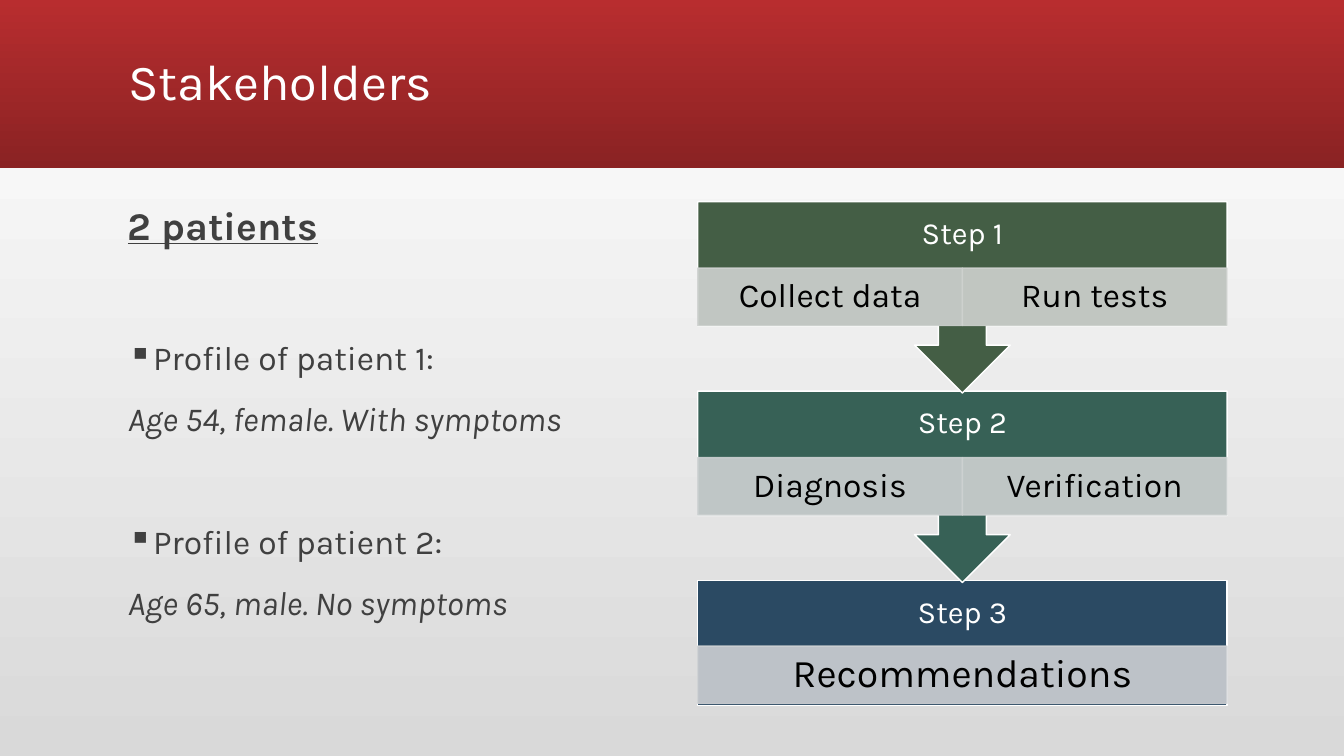
from pptx import Presentation
from pptx.dml.color import RGBColor as RGB
from pptx.enum.shapes import MSO_SHAPE as Kind
from pptx.enum.text import MSO_ANCHOR as Anchor, PP_ALIGN as Align
from pptx.oxml.ns import qn
from pptx.util import Inches as In, Pt
from lxml.etree import SubElement as Sub

# Content
TITLE = "Stakeholders"
# text, style, space before in points
NOTES = [
    ("2 patients", "head", 0),
    ("Profile of patient 1:", "item", 66),
    ("Age 54, female. With symptoms", "fact", 18),
    ("Profile of patient 2:", "item", 61.5),
    ("Age 65, male. No symptoms", "fact", 18),
]
# label, fill, cell type size, cells with their tints
STEPS = [
    ("Step 1", "445E45", 24, [("Collect data", "CFD2D0"), ("Run tests", "CFD2CF")]),
    ("Step 2", "376156", 24, [("Diagnosis", "CED2D3"), ("Verification", "CED2D2")]),
    ("Step 3", "2B4A63", 28, [("Recommendations", "CDD0D3")]),
]


class Theme:
    font = "Karla"
    white, ink, black = "FFFFFF", "404040", "000000"
    band = ("B82D2F", "8A2223")
    back = ("D9D9D9", "FFFFFF")
    title, head, body, step = 36, 28, 24, 22


# Grid, in inches
WIDE, HIGH = 13.33, 7.5
BAND = HIGH * 2 / 9
LEFT, TOP = 1.17, 2
COL, FLOW = 5.25, 6.92
PITCH, CALL, BOX = 1.88, 1.9, 1.24
LABEL, CELL = 0.66, 0.57


def shade(fill, tones, angle):
    fill.gradient()
    fill.gradient_angle = angle
    for stop, tone in zip(fill.gradient_stops, tones):
        stop.color.rgb = RGB.from_string(tone)


def write(para, text, size, tone, align=Align.LEFT):
    para.alignment = align
    para.line_spacing = 0.9
    run = para.add_run()
    run.text = text
    run.font.name = Theme.font
    run.font.size = Pt(size)
    run.font.color.rgb = RGB.from_string(tone)
    return run.font


def block(kind, x, y, w, h, tone, edge):
    shape = slide.shapes.add_shape(kind, In(x), In(y), In(w), In(h))
    shape.shadow.inherit = False
    shape.fill.solid()
    shape.fill.fore_color.rgb = RGB.from_string(tone)
    shape.line.color.rgb = RGB.from_string(edge)
    shape.line.width = Pt(1)
    frame = shape.text_frame
    frame.word_wrap = True
    frame.vertical_anchor = Anchor.MIDDLE
    frame.margin_top = frame.margin_bottom = In(0.03)
    return shape


def fade(shape, share):
    for clr in shape.element.spPr.iter(qn("a:srgbClr")):
        Sub(clr, qn("a:alpha"), val=str(share * 1000))


def bullet(para, mark):
    props = para._p.get_or_add_pPr()
    props.set("marL", str(In(0.25)))
    props.set("indent", str(-In(0.25)))
    Sub(props, qn("a:buChar"), char=mark)


deck = Presentation()
deck.slide_width, deck.slide_height = In(WIDE), In(HIGH)
slide = deck.slides.add_slide(deck.slide_layouts[5])
shade(slide.background.fill, Theme.back, 90)

# Title band, behind the title
band = slide.shapes.add_shape(Kind.RECTANGLE, 0, 0, In(WIDE), In(BAND))
band.shadow.inherit = False
band.line.fill.background()
shade(band.fill, Theme.band, 270)
slide.shapes._spTree.insert(2, band.element)

title = slide.shapes.title
title.left, title.top, title.width, title.height = In(LEFT), In(0.11), In(11), In(1.45)
title.text_frame.vertical_anchor = Anchor.MIDDLE
write(title.text_frame.paragraphs[0], TITLE, Theme.title, Theme.white)

# Patient notes
notes = slide.shapes.add_textbox(In(LEFT), In(TOP), In(COL), In(5)).text_frame
notes.word_wrap = True
for i, (text, style, gap) in enumerate(NOTES):
    para = notes.add_paragraph() if i else notes.paragraphs[0]
    size = Theme.head if style == "head" else Theme.body
    font = write(para, text, size, Theme.ink)
    para.space_before = Pt(gap)
    font.bold = font.underline = style == "head"
    font.italic = style == "fact"
    if style == "item":
        bullet(para, "▪")

# Step flow, last step first so each arrow tip lies on top
for i, (label, tone, size, cells) in reversed(list(enumerate(STEPS))):
    y = TOP + i * PITCH
    last = i == len(STEPS) - 1
    kind = Kind.RECTANGLE if last else Kind.DOWN_ARROW_CALLOUT
    step = block(kind, FLOW, y, COL, BOX if last else CALL, tone, Theme.white)
    frame = step.text_frame
    frame.margin_top, frame.margin_bottom = 0, In(BOX - LABEL)
    write(frame.paragraphs[0], label, Theme.step, Theme.white, Align.CENTER)
    w = COL / len(cells)
    top = y + LABEL - (0.01 if last else 0)
    for j, (text, tint) in enumerate(cells):
        cell = block(Kind.RECTANGLE, FLOW + j * w, top, w, CELL, tint, tint)
        fade(cell, 90)
        write(cell.text_frame.paragraphs[0], text, size, Theme.black, Align.CENTER)

deck.save("out.pptx")
